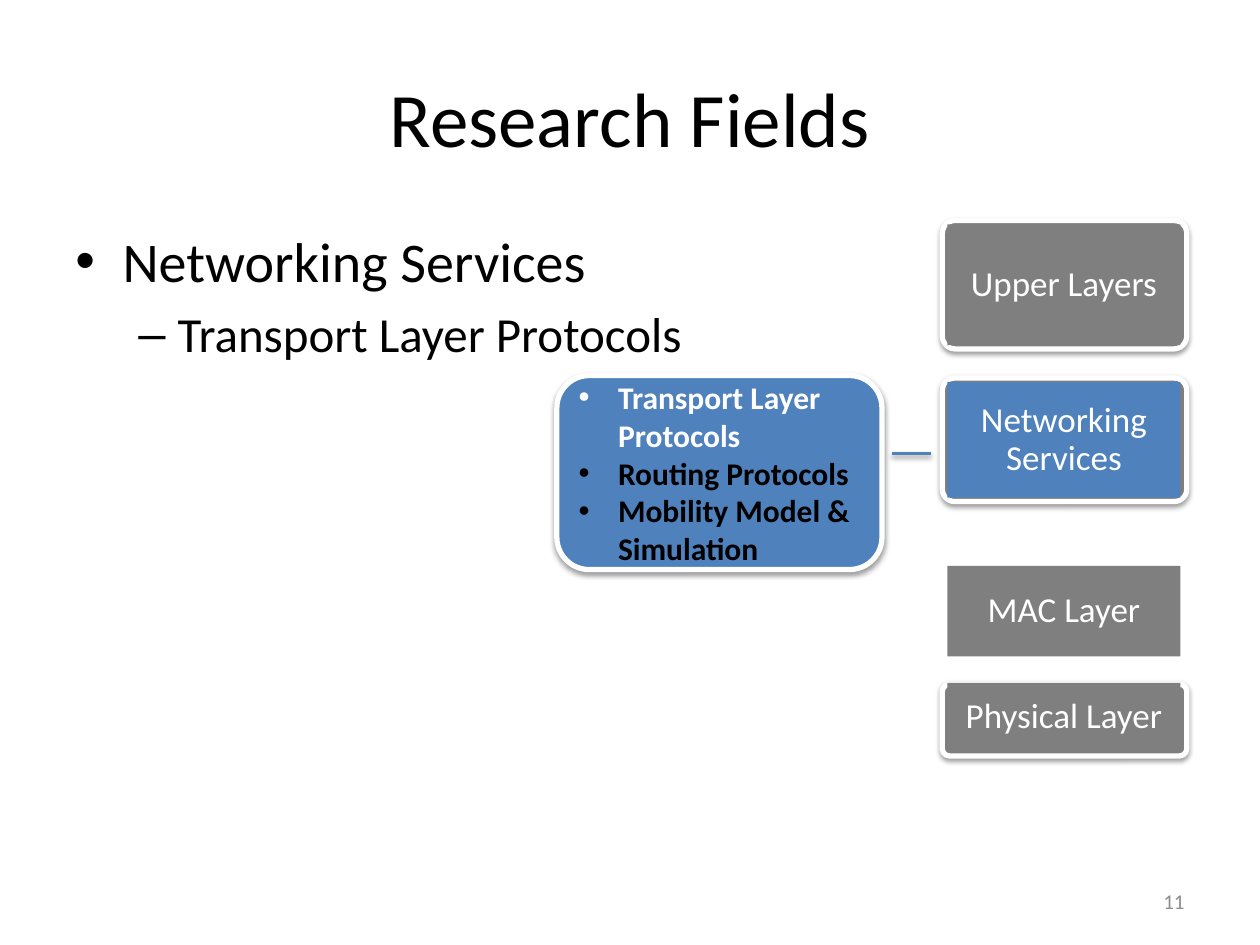
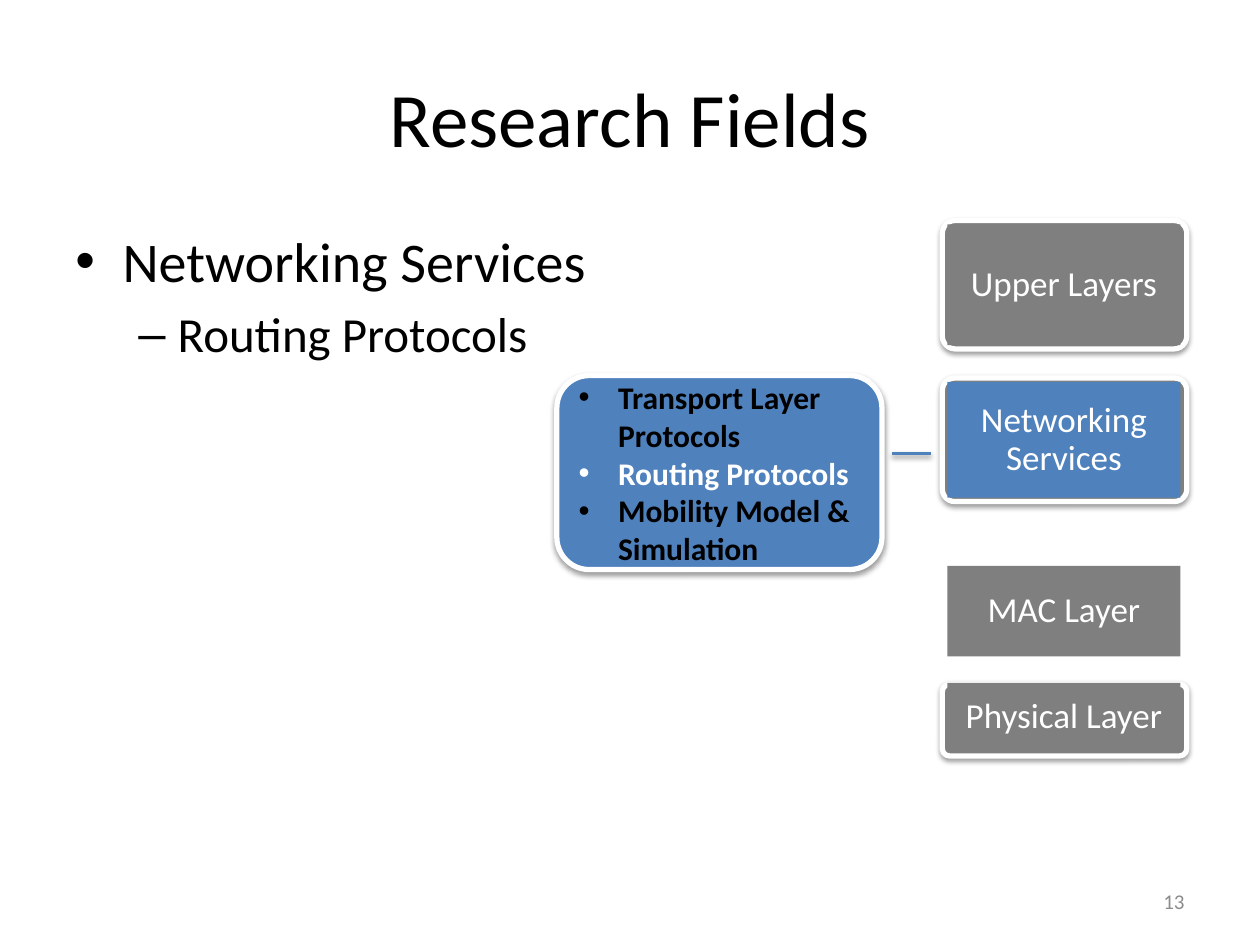
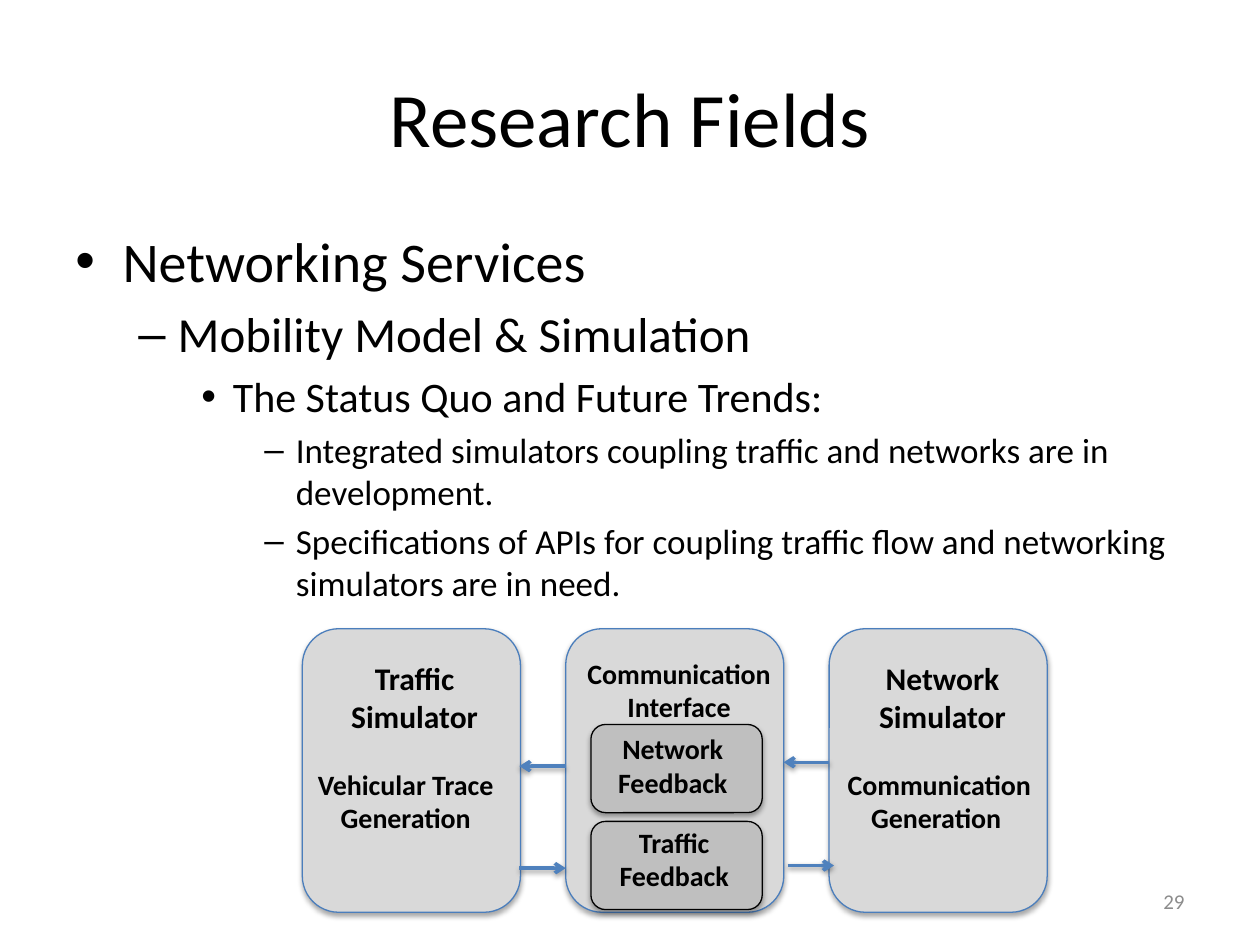
from lxml.etree import SubElement
from pptx import Presentation
from pptx.dml.color import RGBColor
from pptx.enum.shapes import MSO_CONNECTOR, MSO_SHAPE
from pptx.enum.text import MSO_ANCHOR, PP_ALIGN
from pptx.oxml.ns import qn
from pptx.util import Pt

FONT = "Calibri"
COLORS = {
    "black": "000000", "white": "FFFFFF", "number": "8C8C8C",
    "blue": "4F81BD", "outline": "4B7EBC", "gray": "7F7F7F",
    "module": "D9D9D9", "feedback": "BFBFBF",
}

TITLE = "Research Fields"
FIELD = "Networking Services"
TOPICS = ["Transport Layer Protocols", "Routing Protocols", "Mobility Model & Simulation"]
TOPIC_SLIDES = [(11, TOPICS[0]), (13, TOPICS[1])]
SIMULATION_NUMBER = 29
SIMULATION_OUTLINE = [
    (0, FIELD),
    (1, TOPICS[2]),
    (2, "The Status Quo and Future Trends:"),
    (3, "Integrated simulators coupling traffic and networks are in development."),
    (3, "Specifications of APIs for coupling traffic flow and networking simulators are in need."),
]

# Outline level: text size, left margin, hanging indent, bullet
LEVELS = [(32, 27, 27, "•"), (28, 58.5, 22.5, "–"), (24, 90, 18, "•"), (20, 126, 18, "–")]

# Layer: name, fill, label top and height, plate top and height
LAYERS = [
    ("Physical Layer", "gray", (390.2, 38.9), (391, 41)),
    (FIELD, "blue", (218.2, 66.2), (216, 70.6)),
    ("Upper Layers", "gray", (128.2, 69.1), (126, 73.4)),
    ("MAC Layer", "gray", (323.3, 51.8), None),
]
LABEL_LEFT, LABEL_WIDTH = 541.4, 133.2
PLATE_LEFT, PLATE_WIDTH = 538.5, 139.7

MODULE_LEFT, MODULE_TOP, MODULE_WIDTH, MODULE_HEIGHT = 172.8, 359.3, 124.6, 162
MODULE_PITCH = 150.5
FEEDBACK_TOPS = [469.4, 414]

# Caption: paragraphs, size, box
CAPTIONS = [
    (["Traffic Simulator"], 18, (187.2, 373, 99.4, 51)),
    (["Vehicular Trace ", "Generation "], 16, (162, 434.9, 143.3, 46)),
    (["Network", "Simulator"], 18, (488.9, 373, 99.4, 51)),
    (["Communication Generation "], 16, (465.1, 434.9, 143.3, 46)),
    (["Communication Interface"], 16, (326.9, 371.5, 122.4, 46)),
    (["Traffic ", "Feedback "], 16, (315.4, 468, 143.3, 46)),
    (["Network ", "Feedback "], 16, (314.6, 414.7, 143.3, 46)),
]
# Arrow: start, end, height on the slide
ARROWS = [(323.3, 296.8, 437.8), (473.8, 447.8, 435.6), (296.8, 323.3, 496.1), (450, 476.6, 494.6)]


def rgb(name):
    return RGBColor.from_string(COLORS[name])


def add_shadow(shape, opacity=38, distance=1.6):
    """Give a shape or connector a soft black shadow falling straight down."""
    effects = SubElement(shape._element.spPr, qn("a:effectLst"))
    shadow = SubElement(effects, qn("a:outerShdw"), blurRad=str(Pt(3.1)), dist=str(Pt(distance)),
                        dir="5400000", rotWithShape="0")
    color = SubElement(shadow, qn("a:srgbClr"), val=COLORS["black"])
    SubElement(color, qn("a:alpha"), val=str(opacity * 1000))


def add_bullet(paragraph, margin, hanging, character):
    properties = paragraph._p.get_or_add_pPr()
    properties.set("marL", str(Pt(margin)))
    properties.set("indent", str(-Pt(hanging)))
    SubElement(properties, qn("a:buFont"), typeface="Arial")
    SubElement(properties, qn("a:buChar"), char=character)


def style_runs(paragraph, size, color, bold=False):
    for run in paragraph.runs:
        run.font.name = FONT
        run.font.size = Pt(size)
        run.font.bold = bold
        run.font.color.rgb = rgb(color)


def write_text(shape, lines, size, color="black", bold=False,
               alignment=PP_ALIGN.CENTER, anchor=MSO_ANCHOR.TOP):
    frame = shape.text_frame
    frame.word_wrap = True
    frame.vertical_anchor = anchor
    frame.text = "\n".join(lines)
    for paragraph in frame.paragraphs:
        paragraph.alignment = alignment
        style_runs(paragraph, size, color, bold)
    return frame


def add_text(slide, box, lines, size, **style):
    return write_text(slide.shapes.add_textbox(*map(Pt, box)), lines, size, **style)


def add_block(slide, kind, box, fill, line=None, width=0.75):
    shape = slide.shapes.add_shape(kind, *map(Pt, box))
    shape.fill.solid()
    shape.fill.fore_color.rgb = rgb(fill)
    if line:
        shape.line.color.rgb = rgb(line)
        shape.line.width = Pt(width)
        if line == "white":
            add_shadow(shape)
        else:
            add_shadow(shape, 35, 1.8)
    else:
        shape.line.fill.background()
        shape.shadow.inherit = False
    return shape


def add_link(slide, start, end, height, arrow=False):
    connector = slide.shapes.add_connector(
        MSO_CONNECTOR.STRAIGHT, Pt(start), Pt(height), Pt(end), Pt(height))
    connector.line.color.rgb = rgb("blue")
    connector.line.width = Pt(2)
    if arrow:
        SubElement(connector.line._get_or_add_ln(), qn("a:tailEnd"), type="arrow")
    add_shadow(connector)


def add_base_slide(presentation, number, outline):
    """Add a slide with its title, bulleted outline and slide number."""
    slide = presentation.slides.add_slide(presentation.slide_layouts[6])
    add_text(slide, (36, 21.6, 648, 90), [TITLE], 44, anchor=MSO_ANCHOR.MIDDLE)
    body = add_text(slide, (36, 126, 648, 356.4), [text for _, text in outline], 32,
                    alignment=PP_ALIGN.LEFT)
    for index, (paragraph, (level, _)) in enumerate(zip(body.paragraphs, outline)):
        size, margin, hanging, character = LEVELS[level]
        add_bullet(paragraph, margin, hanging, character)
        style_runs(paragraph, size, "black")
        if index:
            paragraph.space_before = Pt(size * 0.2)
    add_text(slide, (516.2, 500.4, 167.8, 28.8), [str(number)], 12, color="number",
             alignment=PP_ALIGN.RIGHT, anchor=MSO_ANCHOR.MIDDLE)
    return slide


def add_layer_stack(slide):
    for name, fill, (top, height), plate in LAYERS:
        if plate:
            shape = add_block(slide, MSO_SHAPE.ROUNDED_RECTANGLE,
                              (PLATE_LEFT, plate[0], PLATE_WIDTH, plate[1]), "gray", "white", 3)
            shape.adjustments[0] = 0.1
        label = add_block(slide, MSO_SHAPE.RECTANGLE, (LABEL_LEFT, top, LABEL_WIDTH, height), fill)
        frame = write_text(label, [name], 20, "white", anchor=MSO_ANCHOR.MIDDLE)
        frame.margin_left = frame.margin_right = Pt(3.6)
        frame.paragraphs[0].line_spacing = 0.9


def add_topic_box(slide, current):
    """List the topics, with the current one in white."""
    box = add_block(slide, MSO_SHAPE.ROUNDED_RECTANGLE, (318.2, 214.6, 185.8, 110.9),
                    "blue", "white", 3)
    frame = write_text(box, TOPICS, 18, bold=True, alignment=PP_ALIGN.LEFT,
                       anchor=MSO_ANCHOR.MIDDLE)
    for paragraph, topic in zip(frame.paragraphs, TOPICS):
        add_bullet(paragraph, 22.5, 22.5, "•")
        style_runs(paragraph, 18, "white" if topic == current else "black", True)
    add_link(slide, 532.1, 509.8, 259.2)


def add_simulator_diagram(slide):
    for column in range(3):
        left = MODULE_LEFT + column * MODULE_PITCH
        add_block(slide, MSO_SHAPE.ROUNDED_RECTANGLE,
                  (left, MODULE_TOP, MODULE_WIDTH, MODULE_HEIGHT), "module", "outline")
    for top in FEEDBACK_TOPS:
        add_block(slide, MSO_SHAPE.ROUNDED_RECTANGLE, (337.7, top, 97.9, 50.4),
                  "feedback", "black")
    for lines, size, box in CAPTIONS:
        add_text(slide, box, lines, size, bold=True)
    for start, end, height in ARROWS:
        add_link(slide, start, end, height, arrow=True)


def main():
    presentation = Presentation()
    presentation.slide_width, presentation.slide_height = Pt(720), Pt(540)
    for number, topic in TOPIC_SLIDES:
        slide = add_base_slide(presentation, number, [(0, FIELD), (1, topic)])
        add_layer_stack(slide)
        add_topic_box(slide, topic)
    add_simulator_diagram(add_base_slide(presentation, SIMULATION_NUMBER, SIMULATION_OUTLINE))
    presentation.save("out.pptx")


if __name__ == "__main__":
    main()
